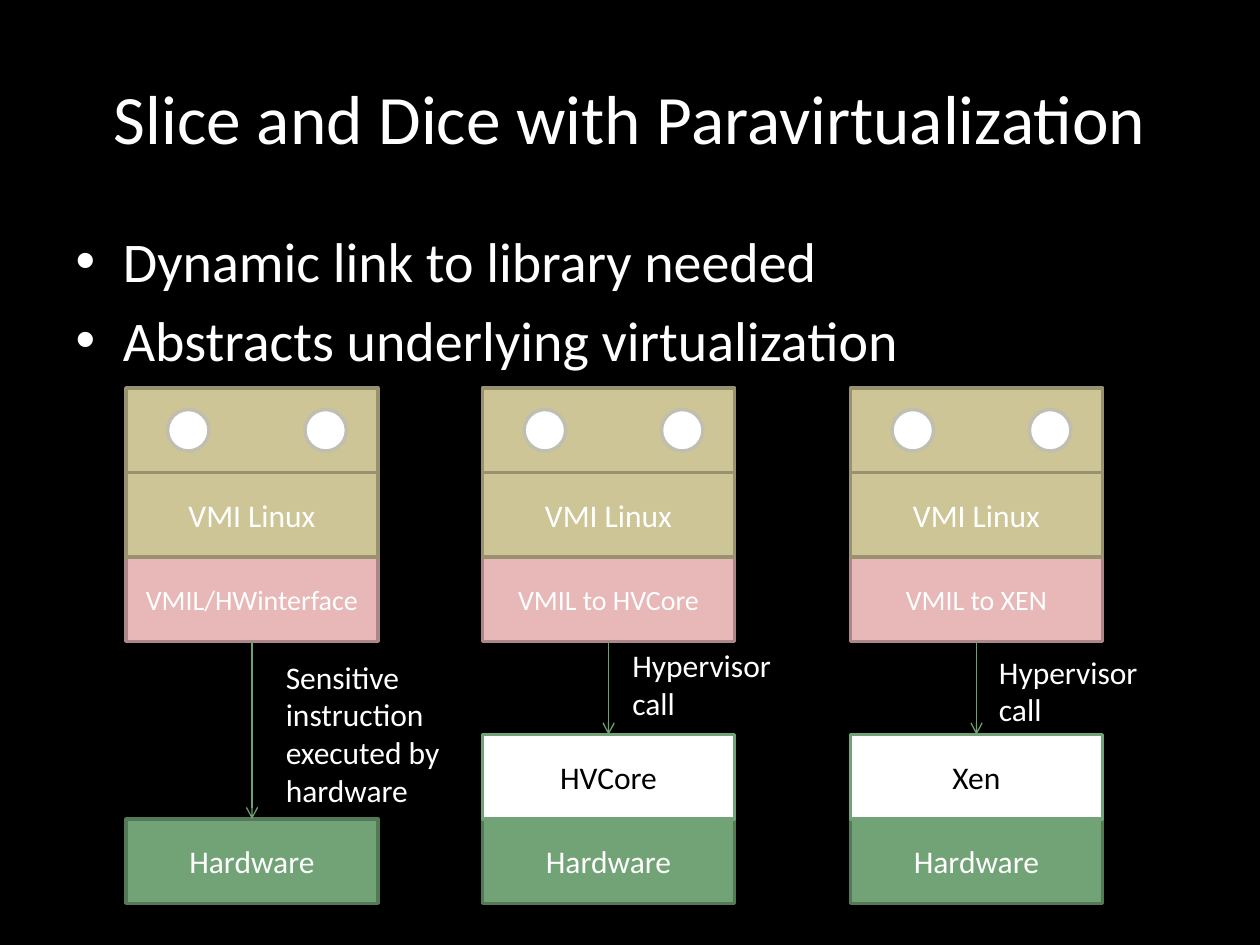
from lxml import etree
from pptx import Presentation
from pptx.dml.color import RGBColor
from pptx.enum.shapes import MSO_CONNECTOR, MSO_SHAPE
from pptx.enum.text import MSO_ANCHOR, MSO_AUTO_SIZE, PP_ALIGN
from pptx.oxml.ns import qn
from pptx.util import Inches, Pt

RECTANGLE, OVAL = MSO_SHAPE.RECTANGLE, MSO_SHAPE.OVAL
STRAIGHT = MSO_CONNECTOR.STRAIGHT
CENTER, LEFT = PP_ALIGN.CENTER, PP_ALIGN.LEFT
MIDDLE, TOP = MSO_ANCHOR.MIDDLE, MSO_ANCHOR.TOP
NO_FIT, GROW = MSO_AUTO_SIZE.NONE, MSO_AUTO_SIZE.SHAPE_TO_FIT_TEXT

FONT = "Calibri"
BLACK = RGBColor(0x00, 0x00, 0x00)
WHITE = RGBColor(0xFF, 0xFF, 0xFF)
GREEN = RGBColor(0x72, 0xA3, 0x76)
DARK_GREEN = RGBColor(0x54, 0x79, 0x57)
ARROW_GREEN = RGBColor(0x6E, 0xA1, 0x72)
PINK = RGBColor(0xE8, 0xB7, 0xB7)
DARK_PINK = RGBColor(0xAC, 0x87, 0x87)
SAND = RGBColor(0xCE, 0xC5, 0x97)
DARK_SAND = RGBColor(0x98, 0x92, 0x70)
GREY = RGBColor(0xC0, 0xBE, 0xAF)

TITLE = "Slice and Dice with Paravirtualization"
POINTS = ["Dynamic link to library needed", "Abstracts underlying virtualization"]
STACKS = [
    {"left": 1, "interface": "VMIL/HWinterface", "hypervisor": None,
     "call": "Sensitive instruction executed by hardware",
     "call_offset": 0.17, "call_top": 5.17, "call_height": 1.31},
    {"left": 3.83, "interface": "VMIL to HVCore", "hypervisor": "HVCore",
     "call": "Hypervisor call",
     "call_offset": 0.09, "call_top": 5.08, "call_height": 0.71},
    {"left": 6.75, "interface": "VMIL to XEN", "hypervisor": "Xen",
     "call": "Hypervisor call",
     "call_offset": 0.08, "call_top": 5.13, "call_height": 0.71},
]

STACK_TOP, HARDWARE_TOP = 3.08, 6.5
LAYER_WIDTH, LAYER_HEIGHT = 2, 0.67
APP_SIZE, APP_TOP, APP_OFFSETS = 0.33, 3.25, (0.33, 1.42)


def write(paragraph, text, size, color, align):
    paragraph.alignment = align
    run = paragraph.add_run()
    run.text = text
    run.font.name = FONT
    run.font.size = Pt(size)
    run.font.color.rgb = color


def place(part, left, top, width, height):
    part.left, part.top = Inches(left), Inches(top)
    part.width, part.height = Inches(width), Inches(height)


def add_block(slide, kind, left, top, width, height, fill, line):
    block = slide.shapes.add_shape(
        kind, Inches(left), Inches(top), Inches(width), Inches(height))
    block.shadow.inherit = False
    block.fill.solid()
    block.fill.fore_color.rgb = fill
    block.line.color.rgb = line
    block.line.width = Pt(2)
    return block


def add_layer(slide, left, top, fill, line, text=None, size=18, color=WHITE):
    layer = add_block(slide, RECTANGLE, left, top,
                      LAYER_WIDTH, LAYER_HEIGHT, fill, line)
    if text:
        layer.text_frame.vertical_anchor = MIDDLE
        write(layer.text_frame.paragraphs[0], text, size, color, CENTER)


def add_arrow(slide, x, top, bottom):
    arrow = slide.shapes.add_connector(
        STRAIGHT, Inches(x), Inches(top), Inches(x), Inches(bottom))
    arrow.line.color.rgb = ARROW_GREEN
    arrow.line.width = Pt(0.75)
    etree.SubElement(arrow.line._get_or_add_ln(), qn("a:tailEnd"), type="arrow")
    etree.SubElement(arrow._element.spPr, qn("a:effectLst"))


def add_stack(slide, stack):
    left = stack["left"]
    center = left + LAYER_WIDTH / 2
    os_top = STACK_TOP + LAYER_HEIGHT
    interface_top = os_top + LAYER_HEIGHT
    target_top = HARDWARE_TOP

    add_layer(slide, left, HARDWARE_TOP, GREEN, DARK_GREEN, "Hardware")
    add_layer(slide, left, interface_top, PINK, DARK_PINK, stack["interface"], 16)
    add_layer(slide, left, os_top, SAND, DARK_SAND, "VMI Linux")
    add_layer(slide, left, STACK_TOP, SAND, DARK_SAND)
    for offset in APP_OFFSETS:
        add_block(slide, OVAL, left + offset, APP_TOP,
                  APP_SIZE, APP_SIZE, WHITE, GREY)

    if stack["hypervisor"]:
        target_top -= LAYER_HEIGHT
    add_arrow(slide, center, interface_top + LAYER_HEIGHT, target_top)
    if stack["hypervisor"]:
        add_layer(slide, left, target_top, WHITE, GREEN,
                  stack["hypervisor"], color=BLACK)

    call = slide.shapes.add_textbox(
        Inches(center + stack["call_offset"]), Inches(stack["call_top"]),
        Inches(1.5), Inches(stack["call_height"]))
    call.text_frame.word_wrap = True
    call.text_frame.auto_size = GROW
    write(call.text_frame.paragraphs[0], stack["call"], 18, WHITE, LEFT)


def main():
    deck = Presentation()
    deck.slide_width, deck.slide_height = Inches(10), Inches(7.5)
    slide = deck.slides.add_slide(deck.slide_layouts[1])
    slide.background.fill.solid()
    slide.background.fill.fore_color.rgb = BLACK

    title, body = slide.placeholders
    place(title, 0.5, 0.3, 9, 1.25)
    title.text_frame.auto_size = NO_FIT
    title.text_frame.vertical_anchor = MIDDLE
    write(title.text_frame.paragraphs[0], TITLE, 39.6, WHITE, CENTER)

    place(body, 0.5, 1.75, 9, 1.25)
    body.text_frame.auto_size = NO_FIT
    body.text_frame.vertical_anchor = TOP
    for index, point in enumerate(POINTS):
        paragraph = (body.text_frame.add_paragraph() if index
                     else body.text_frame.paragraphs[0])
        paragraph.space_before = Pt(6.4 if index else 0)
        write(paragraph, point, 32, WHITE, LEFT)

    for stack in STACKS:
        add_stack(slide, stack)
    deck.save("out.pptx")


if __name__ == "__main__":
    main()
